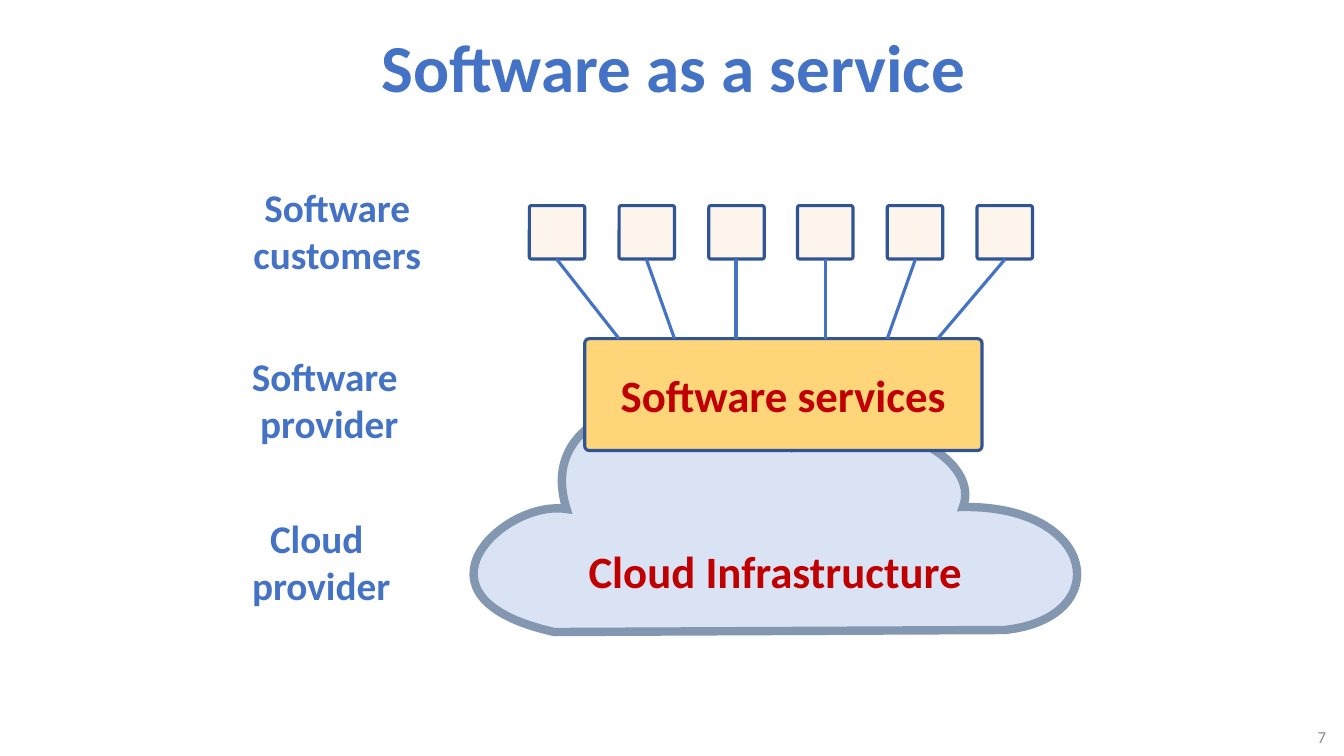
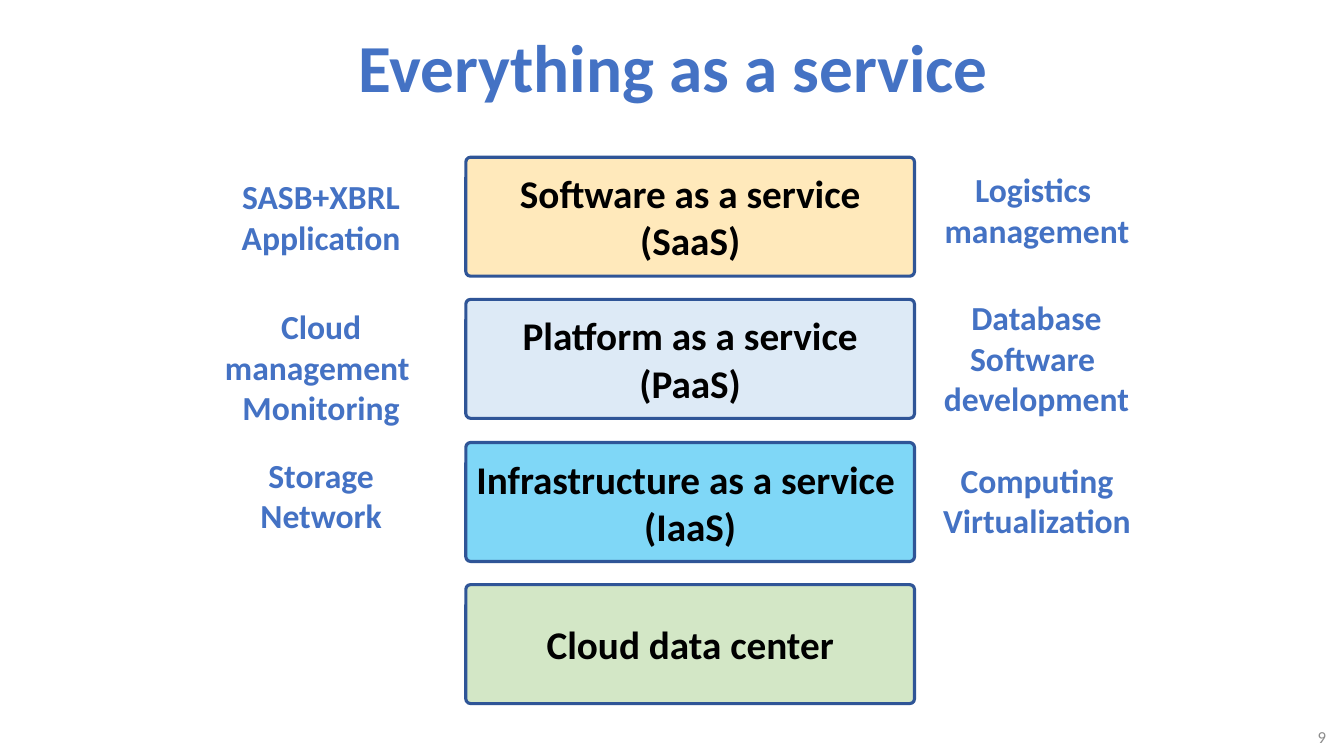
"""Build two slides on cloud service models."""
from dataclasses import dataclass

from lxml import etree
from pptx import Presentation
from pptx import util as u
from pptx.dml.color import RGBColor
from pptx.enum import shapes, text
from pptx.oxml.ns import qn

PX = 9144
FONT = "Calibri"
BLUE, NAVY, SLATE = "4472C4", "2F5597", "8497B0"
RED, BLACK, GREY = "C00000", "000000", "8C8C8C"
AMBER, PALE_BLUE, CREAM = "FFD579", "DAE3F3", "FDEADA"
LINE_PT = 2.25


@dataclass(frozen=True)
class Rect:
    """A place on a slide in px."""
    x: int
    y: int
    w: int
    h: int

    def emu(self) -> list[int]:
        """Return left, top, width and height in EMU."""
        return [v * PX for v in (self.x, self.y, self.w, self.h)]


@dataclass(frozen=True)
class Label:
    """A blue caption beside the diagram."""
    words: str
    at: Rect
    wrap: bool = True


@dataclass(frozen=True)
class Layer:
    """One level of the service stack."""
    words: str
    fill: str


def rgb(color: str) -> RGBColor:
    """Turn a hex string into a colour."""
    return RGBColor.from_string(color)


def write(sp, words: str, size: int, color: str, bold: bool = True,
          align=text.PP_ALIGN.CENTER, anchor=text.MSO_ANCHOR.MIDDLE,
          wrap: bool = True) -> None:
    """Fill a shape with text in one style."""
    tf = sp.text_frame
    tf.text = words
    tf.word_wrap = wrap
    tf.vertical_anchor = anchor
    for p in tf.paragraphs:
        p.alignment = align
        p.font.name = FONT
        p.font.size = u.Pt(size)
        p.font.bold = bold
        p.font.color.rgb = rgb(color)


def paint(sp, fill: str, line: str, width: float, alpha: int = 100) -> None:
    """Set fill, outline and transparency of a shape."""
    sp.shadow.inherit = False
    sp.fill.solid()
    sp.fill.fore_color.rgb = rgb(fill)
    if alpha < 100:
        clr = sp._element.spPr.find(qn("a:solidFill"))[0]
        etree.SubElement(clr, qn("a:alpha"), val=str(alpha * 1000))
    sp.line.color.rgb = rgb(line)
    sp.line.width = u.Pt(width)


def add_box(s, at: Rect, fill: str, alpha: int = 100):
    """Add a slightly rounded box without text margins."""
    sp = s.shapes.add_shape(shapes.MSO_SHAPE.ROUNDED_RECTANGLE, *at.emu())
    sp.adjustments[0] = 0.04
    paint(sp, fill, NAVY, LINE_PT, alpha)
    tf = sp.text_frame
    tf.margin_left = tf.margin_right = tf.margin_top = tf.margin_bottom = 0
    return sp


def add_labels(s, labels: list[Label], size: int) -> None:
    """Add the captions of a slide."""
    for label in labels:
        sp = s.shapes.add_textbox(*label.at.emu())
        write(sp, label.words, size, BLUE, anchor=text.MSO_ANCHOR.TOP,
              wrap=label.wrap)


def add_line(s, x1: int, y1: int, x2: int, y2: int) -> None:
    """Add a straight blue line."""
    ends = [v * PX for v in (x1, y1, x2, y2)]
    sp = s.shapes.add_connector(shapes.MSO_CONNECTOR.STRAIGHT, *ends)
    sp.line.color.rgb = rgb(BLUE)
    sp.line.width = u.Pt(LINE_PT)
    etree.SubElement(sp._element.spPr, qn("a:effectLst"))


def add_outline(s, at: Rect, steps: list[tuple[str, list[tuple[int, int]]]]):
    """Add a closed freeform whose steps may be curves."""
    builder = s.shapes.build_freeform(at.x, at.y, scale=PX)
    builder.add_line_segments([(at.x + at.w, at.y), (at.x + at.w, at.y + at.h)])
    sp = builder.convert_to_shape()
    route = next(sp._element.iter(qn("a:path")))
    for child in list(route):
        route.remove(child)
    for tag, points in steps:
        step = etree.SubElement(route, qn(tag))
        for x, y in points:
            etree.SubElement(step, qn("a:pt"), x=str((x - at.x) * PX),
                             y=str((y - at.y) * PX))
    etree.SubElement(route, qn("a:close"))
    route.set("w", str(at.w * PX))
    route.set("h", str(at.h * PX))
    return sp


def add_cloud(s) -> None:
    """Add the cloud with its caption."""
    sp = add_outline(s, Rect(470, 399, 598, 228), [
        ("a:moveTo", [(562, 505)]),
        ("a:cubicBezTo", [(500, 495), (396, 593), (550, 627)]),
        ("a:lnTo", [(996, 625)]),
        ("a:cubicBezTo", [(1106, 614), (1089, 501), (955, 503)]),
        ("a:cubicBezTo", [(973, 459), (887, 399), (786, 444)]),
        ("a:cubicBezTo", [(716, 367), (525, 390), (562, 505)]),
    ])
    paint(sp, PALE_BLUE, SLATE, 6)
    etree.SubElement(sp.line._get_or_add_ln(), qn("a:miter"), lim="800000")
    sp.text_frame.margin_bottom = 34 * PX
    write(sp, "Cloud Infrastructure", 32, RED, anchor=text.MSO_ANCHOR.BOTTOM)


def new_slide(prs, title: str, number: int):
    """Add a slide with its title and number."""
    s = prs.slides.add_slide(prs.slide_layouts[6])
    write(s.shapes.add_textbox(*Rect(218, 13, 900, 104).emu()), title, 48, BLUE)
    write(s.shapes.add_textbox(*Rect(1220, 718, 105, 26).emu()), str(number), 12,
          GREY, bold=False, align=text.PP_ALIGN.RIGHT)
    return s


def software_slide(prs) -> None:
    """Draw customers, software services and the cloud below."""
    s = new_slide(prs, "Software as a service", 7)
    add_cloud(s)
    add_labels(s, [
        Label("Cloud \vprovider", Rect(173, 505, 291, 104)),
        Label("Software \vprovider", Rect(185, 345, 283, 104)),
        Label("Software customers", Rect(176, 177, 317, 104)),
    ], 28)
    services = Rect(580, 336, 394, 111)
    write(add_box(s, services, AMBER), "Software services", 32, RED, wrap=False)
    for i, port in enumerate((614, 669, 730, 819, 880, 930)):
        customer = Rect(round(525 + i * 88.8), 204, 55, 53)
        add_box(s, customer, CREAM, alpha=50)
        add_line(s, 552 + i * 89, customer.y + customer.h, port, services.y)


def everything_slide(prs) -> None:
    """Draw the stack of service layers with examples on both sides."""
    s = new_slide(prs, "Everything as a service", 9)
    layers = [
        Layer("Software as a service\v(SaaS)", AMBER),
        Layer("Platform as a service\v(PaaS)", "BDD7EE"),
        Layer("Infrastructure as a service \v(IaaS)", "00B0F0"),
        Layer("Cloud data center", "A9D18E"),
    ]
    for i, layer in enumerate(layers):
        at = Rect(462, round(156 + i * 141.33), 445, 118)
        write(add_box(s, at, layer.fill, alpha=50), layer.words, 28, BLACK,
              wrap=False)
    left, right, width = 197, 907, 243
    add_labels(s, [
        Label("SASB+XBRL\nApplication", Rect(left, 170, width, 91)),
        Label("Cloud management \vMonitoring", Rect(left, 299, width, 131)),
        Label("Storage Network", Rect(left, 446, width, 91)),
        Label("Logistics \vmanagement", Rect(926, 163, 205, 91), wrap=False),
        Label("Database\nSoftware \vdevelopment", Rect(925, 290, 206, 131),
              wrap=False),
        Label("Computing Virtualization", Rect(right, 451, width, 91)),
    ], 24)


def main() -> None:
    """Build and save the presentation."""
    prs = Presentation()
    prs.slide_width, prs.slide_height = u.Inches(13.33), u.Inches(7.5)
    software_slide(prs)
    everything_slide(prs)
    prs.save("out.pptx")


if __name__ == "__main__":
    main()
